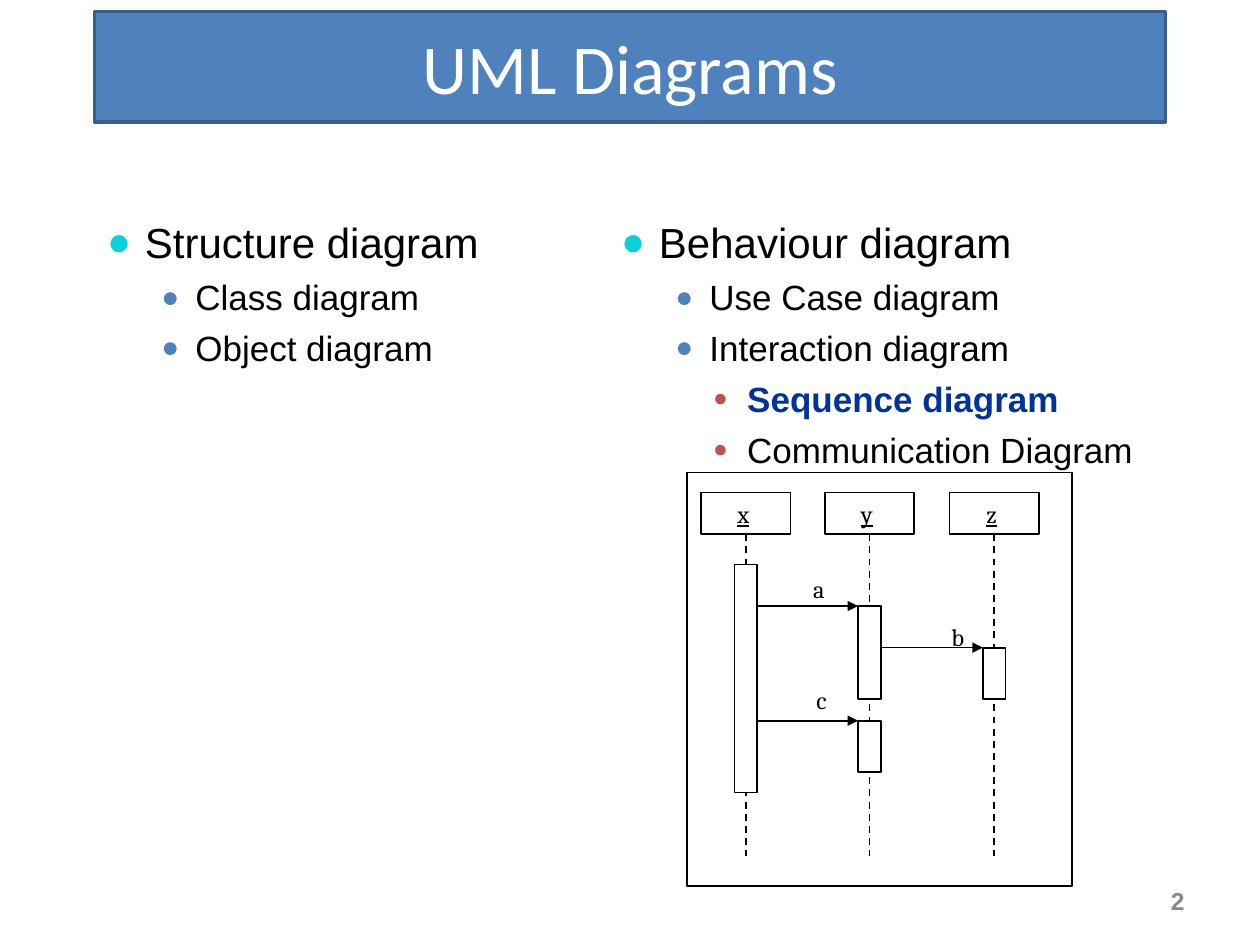
import pptx
import pptx.util
import pptx.dml.color
import pptx.enum.dml
import pptx.enum.shapes
import pptx.enum.text
import pptx.oxml
import pptx.oxml.ns
from lxml import etree

Inches = pptx.util.Inches
Pt = pptx.util.Pt
ALIGN = pptx.enum.text.PP_ALIGN

BLACK, WHITE = "000000", "FFFFFF"
# per level: left indent, hanging indent, bullet colour, bullet size %, text size
LEVELS = [
    (0.3, 0.3, "0BD0D9", 95, 24),
    (0.7, 0.27, "4F81BD", 85, 20),
    (1.0, 0.27, "C0504D", 70, 20),
]


def rgb(value):
    return pptx.dml.color.RGBColor.from_string(value)


def add_xml(parent, tag, **attrs):
    element = etree.SubElement(parent, pptx.oxml.ns.qn(tag))
    for name, value in attrs.items():
        element.set(name, str(value))
    return element


class Deck:
    """Holds the style, the current slide and the shapes being drawn into."""

    body_font, title_font, diagram_font = "Arial", "Calibri", "Cambria"

    def __init__(self, slide):
        self.slide = slide
        self.shapes = slide.shapes

    def start_group(self):
        self.shapes = self.slide.shapes.add_group_shape().shapes

    def place(self, sp, x, y, w, h):
        sp.left, sp.top, sp.width, sp.height = (Inches(v) for v in (x, y, w, h))
        sp.text_frame.auto_size = pptx.enum.text.MSO_AUTO_SIZE.NONE

    def run(self, p, text, font, size, color=BLACK, bold=False, underline=False):
        r = p.add_run()
        r.text = text
        r.font.name, r.font.size = font, Pt(size)
        r.font.bold, r.font.underline = bold, underline
        r.font.color.rgb = rgb(color)

    def title(self, text, *box):
        sp = self.slide.shapes.title
        self.place(sp, *box)
        sp.fill.solid()
        sp.fill.fore_color.rgb = rgb("4F81BD")
        sp.line.color.rgb = rgb("395E89")
        sp.line.width = Pt(2)
        tf = sp.text_frame
        tf.vertical_anchor = pptx.enum.text.MSO_ANCHOR.MIDDLE
        p = tf.paragraphs[0]
        p.alignment = ALIGN.CENTER
        self.run(p, text, self.title_font, 40, WHITE)

    def bullets(self, idx, items, *box):
        """Fill a body placeholder with (level, text, highlighted) items."""
        sp = self.slide.placeholders[idx]
        self.place(sp, *box)
        tf = sp.text_frame
        for i, (level, text, highlighted) in enumerate(items):
            p = tf.add_paragraph() if i else tf.paragraphs[0]
            left, hang, color, percent, size = LEVELS[level]
            p.level = level
            pPr = p._p.get_or_add_pPr()
            pPr.set("marL", str(Inches(left)))
            pPr.set("indent", str(-Inches(hang)))
            add_xml(add_xml(pPr, "a:buClr"), "a:srgbClr", val=color)
            add_xml(pPr, "a:buSzPct", val=percent * 1000)
            add_xml(pPr, "a:buFont", typeface=self.body_font)
            add_xml(pPr, "a:buChar", char="●")
            p.space_before = Pt(5 if i else 0)
            self.run(p, text, self.body_font, size,
                     "003399" if highlighted else BLACK, highlighted)

    def page_number(self, text, *box):
        sp = self.shapes.add_textbox(*(Inches(v) for v in box))
        tf = sp.text_frame
        tf.word_wrap = True
        tf.vertical_anchor = pptx.enum.text.MSO_ANCHOR.MIDDLE
        p = tf.paragraphs[0]
        p.alignment = ALIGN.RIGHT
        self.run(p, text, self.body_font, 14, "888888", bold=True)

    def box(self, x, y, w, h, filled=True):
        sp = self.shapes.add_shape(pptx.enum.shapes.MSO_SHAPE.RECTANGLE,
                                   *(Inches(v) for v in (x, y, w, h)))
        sp.shadow.inherit = False
        if filled:
            sp.fill.solid()
            sp.fill.fore_color.rgb = rgb(WHITE)
        else:
            sp.fill.background()
        sp.line.color.rgb = rgb(BLACK)
        sp.line.width = Pt(1)

    def label(self, text, center, y, underline=False):
        w = 0.32
        sp = self.shapes.add_textbox(Inches(center - w / 2), Inches(y),
                                     Inches(w), Inches(0.33))
        tf = sp.text_frame
        tf.word_wrap = False
        p = tf.paragraphs[0]
        p.alignment = ALIGN.CENTER
        self.run(p, text, self.diagram_font, 14, underline=underline)

    def line(self, x1, y1, x2, y2, dashed=False, arrow=False):
        cxn = self.shapes.add_connector(
            pptx.enum.shapes.MSO_CONNECTOR.STRAIGHT,
            *(Inches(v) for v in (x1, y1, x2, y2)))
        cxn.line.color.rgb = rgb(BLACK)
        cxn.line.width = Pt(1)
        if dashed:
            cxn.line.dash_style = pptx.enum.dml.MSO_LINE.DASH
        if arrow:
            add_xml(cxn.line._get_or_add_ln(), "a:tailEnd", type="triangle")
        add_xml(cxn._element.spPr, "a:effectLst")


def draw_sequence_diagram(deck):
    lifelines = {"x": 5.92, "y": 6.9, "z": 7.89}
    head_w, head_h, head_top = 0.71, 0.33, 3.91
    bar_w = 0.18
    activations = [("x", 4.48, 1.81), ("y", 4.81, 0.74),
                   ("z", 5.14, 0.41), ("y", 5.72, 0.41)]
    # name, sender, receiver, y, label centre, label top
    messages = [("a", "x", "y", 4.81, 6.5, 4.51),
                ("b", "y", "z", 5.14, 7.6, 4.89),
                ("c", "x", "y", 5.72, 6.52, 5.39)]

    deck.start_group()
    deck.box(5.45, 3.75, 3.06, 3.28)
    for name, x in lifelines.items():
        deck.line(x, head_top + head_h, x, 6.79, dashed=True)
        deck.box(x - head_w / 2, head_top, head_w, head_h, filled=False)
        deck.label(name, x - 0.02, head_top, underline=True)
    for name, top, height in activations:
        deck.box(lifelines[name] - bar_w / 2, top, bar_w, height)
    for name, sender, receiver, y, center, top in messages:
        deck.line(lifelines[sender] + bar_w / 2, y,
                  lifelines[receiver] - bar_w / 2, y, arrow=True)
        deck.label(name, center, top)


def main():
    prs = pptx.Presentation()
    prs.slide_width, prs.slide_height = Inches(10), Inches(7.5)
    two_content = prs.slide_layouts[3]
    deck = Deck(prs.slides.add_slide(two_content))
    deck.title("UML Diagrams", 0.75, 0.09, 8.5, 0.88)
    deck.bullets(1, [(0, "Structure diagram", False),
                     (1, "Class diagram", False),
                     (1, "Object diagram", False)], 0.75, 1.67, 4.42, 5.68)
    deck.bullets(2, [(0, "Behaviour diagram", False),
                     (1, "Use Case diagram", False),
                     (1, "Interaction diagram", False),
                     (2, "Sequence diagram", True),
                     (2, "Communication Diagram", False)],
                 4.83, 1.67, 4.89, 5.28)
    deck.page_number("2", 7.17, 6.95, 2.33, 0.4)
    draw_sequence_diagram(deck)
    prs.save("out.pptx")


if __name__ == "__main__":
    main()
